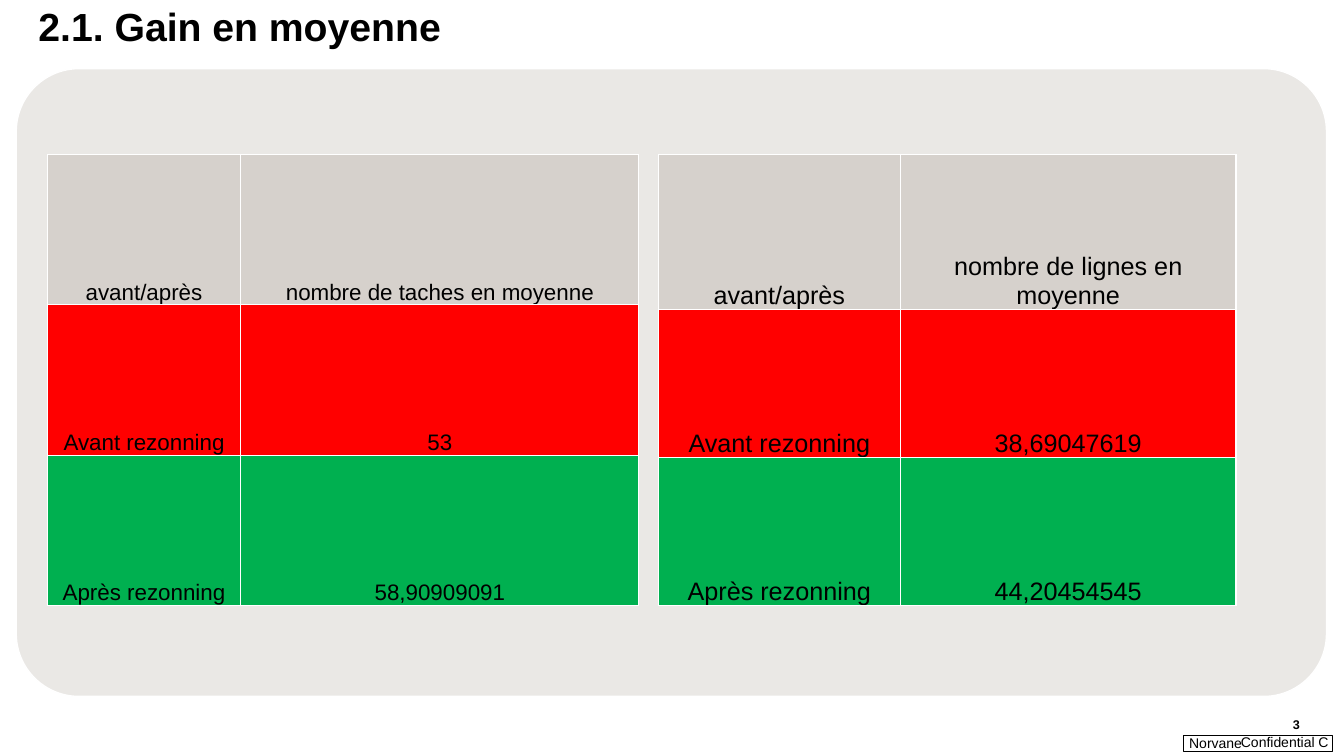
from dataclasses import dataclass

from lxml import etree
from pptx import Presentation
from pptx import util as u
from pptx.dml.color import RGBColor
from pptx.enum import shapes, text
from pptx.oxml import ns


@dataclass(frozen=True)
class Theme:
    font: str = "Arial"
    ink: str = "000000"
    white: str = "FFFFFF"
    panel: str = "EAE8E5"
    header: str = "D6D1CC"
    before: str = "FF0000"
    after: str = "00B050"
    title_size: int = 28
    page_size: int = 9
    label_size: int = 10
    tasks_size: int = 16
    lines_size: int = 18


theme = Theme()


def write(frame, content, size, bold=False, align=text.PP_ALIGN.LEFT,
          anchor=None, left_margin=0, line_spacing=None, wrap=True):
    frame.margin_left = u.Cm(left_margin)
    frame.margin_top = frame.margin_right = frame.margin_bottom = 0
    frame.word_wrap = wrap
    if anchor is not None:
        frame.vertical_anchor = anchor
    paragraph = frame.paragraphs[0]
    paragraph.alignment = align
    paragraph.line_spacing = line_spacing
    run = paragraph.add_run()
    run.text = content
    run.font.name = theme.font
    run.font.size = u.Pt(size)
    run.font.bold = bold
    run.font.color.rgb = RGBColor.from_string(theme.ink)


def format_cell(cell, fill):
    cell.margin_left = cell.margin_top = cell.margin_right = cell.margin_bottom = 0
    cell.vertical_anchor = text.MSO_ANCHOR.BOTTOM
    properties = cell._tc.get_or_add_tcPr()
    for side in ("lnL", "lnR", "lnT", "lnB"):
        border = etree.SubElement(properties, ns.qn(f"a:{side}"), w=str(u.Pt(1)))
        solid = etree.SubElement(border, ns.qn("a:solidFill"))
        etree.SubElement(solid, ns.qn("a:srgbClr"), val=theme.white)
    cell.fill.solid()
    cell.fill.fore_color.rgb = RGBColor.from_string(fill)


presentation = Presentation()
presentation.slide_width = u.Cm(33.87)
presentation.slide_height = u.Cm(19.05)
slide = presentation.slides.add_slide(presentation.slide_layouts[6])

page_number = slide.shapes.add_textbox(u.Cm(31.83), u.Cm(18.01), u.Cm(0.93), u.Cm(0.43))
write(page_number.text_frame, "3", theme.page_size, bold=True,
      align=text.PP_ALIGN.RIGHT, anchor=text.MSO_ANCHOR.BOTTOM)

confidential = slide.shapes.add_textbox(u.Cm(30.48), u.Cm(18.36), u.Cm(3), u.Cm(0.69))
write(confidential.text_frame, "Confidential C", theme.label_size,
      align=text.PP_ALIGN.RIGHT, anchor=text.MSO_ANCHOR.MIDDLE)

company = slide.shapes.add_shape(shapes.MSO_SHAPE.RECTANGLE,
                                 u.Cm(29.82), u.Cm(18.52), u.Cm(3.76), u.Cm(0.41))
company.shadow.inherit = False
company.fill.background()
company.line.color.rgb = RGBColor.from_string(theme.ink)
company.line.width = u.Pt(0.5)
write(company.text_frame, "Norvane", theme.label_size,
      anchor=text.MSO_ANCHOR.MIDDLE, left_margin=0.15)

panel = slide.shapes.add_shape(shapes.MSO_SHAPE.ROUNDED_RECTANGLE,
                               u.Cm(0.41), u.Cm(1.73), u.Cm(33.02), u.Cm(15.82))
panel.shadow.inherit = False
panel.adjustments[0] = 0.1
panel.fill.solid()
panel.fill.fore_color.rgb = RGBColor.from_string(theme.panel)
panel.line.color.rgb = RGBColor.from_string(theme.white)
panel.line.width = u.Pt(1)

title = slide.shapes.add_textbox(u.Cm(0.97), u.Cm(0.2), u.Cm(17.86), u.Cm(1.02))
write(title.text_frame, "2.1. Gain en moyenne", theme.title_size, bold=True,
      anchor=text.MSO_ANCHOR.TOP, line_spacing=0.9)

row_labels = ("avant/après", "Avant rezonning", "Après rezonning")
row_fills = (theme.header, theme.before, theme.after)
averages = (
    (1.19, (4.88, 10.03), (3.79, 3.79, 3.79), theme.tasks_size,
     ("nombre de taches en moyenne", "53", "58,90909091")),
    (16.59, (6.1, 8.46), (3.91, 3.73, 3.73), theme.lines_size,
     ("nombre de lignes en moyenne", "38,69047619", "44,20454545")),
)

for left, widths, heights, size, values in averages:
    table = slide.shapes.add_table(len(heights), len(widths), u.Cm(left), u.Cm(3.89),
                                   u.Cm(sum(widths)), u.Cm(sum(heights))).table
    table.first_row = False
    table.horz_banding = False
    for column, width in zip(table.columns, widths):
        column.width = u.Cm(width)
    for row, height, fill, contents in zip(table.rows, heights, row_fills,
                                           zip(row_labels, values)):
        row.height = u.Cm(height)
        for cell, content in zip(row.cells, contents):
            format_cell(cell, fill)
            write(cell.text_frame, content, size, align=text.PP_ALIGN.CENTER)

presentation.save("out.pptx")
